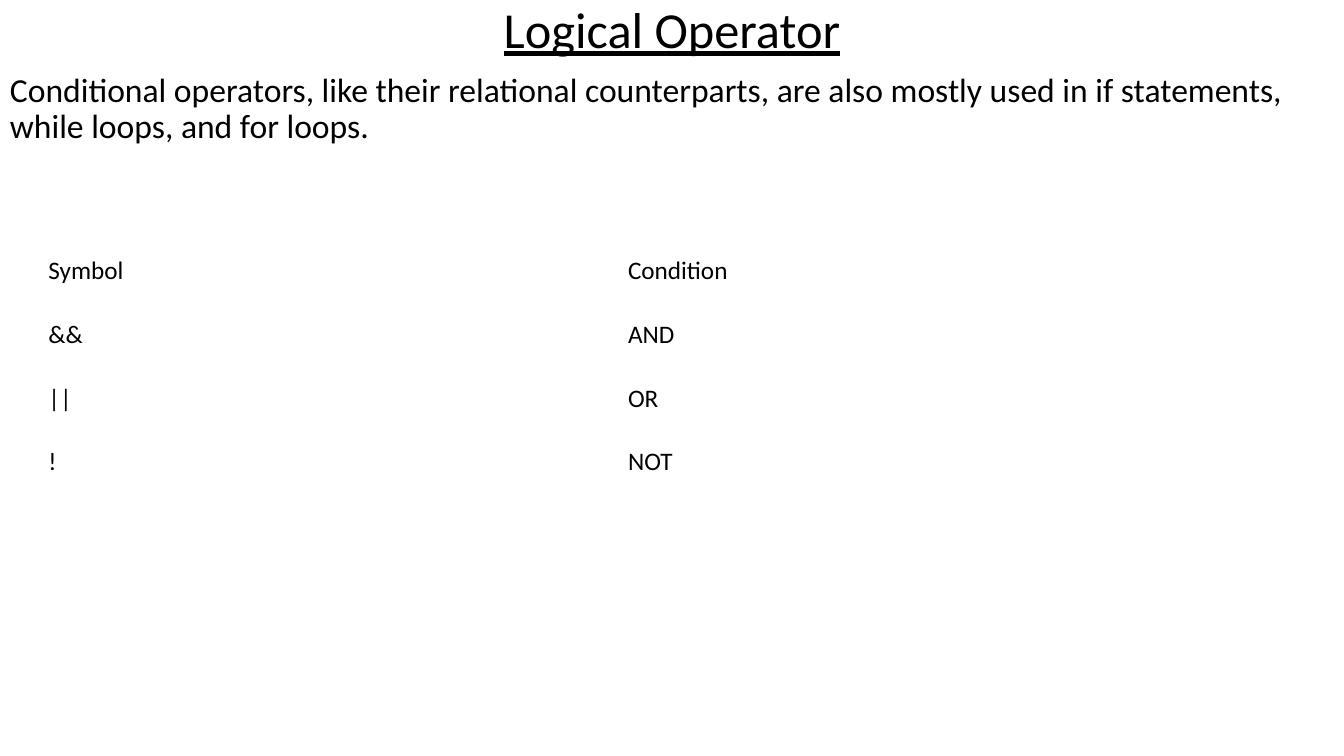
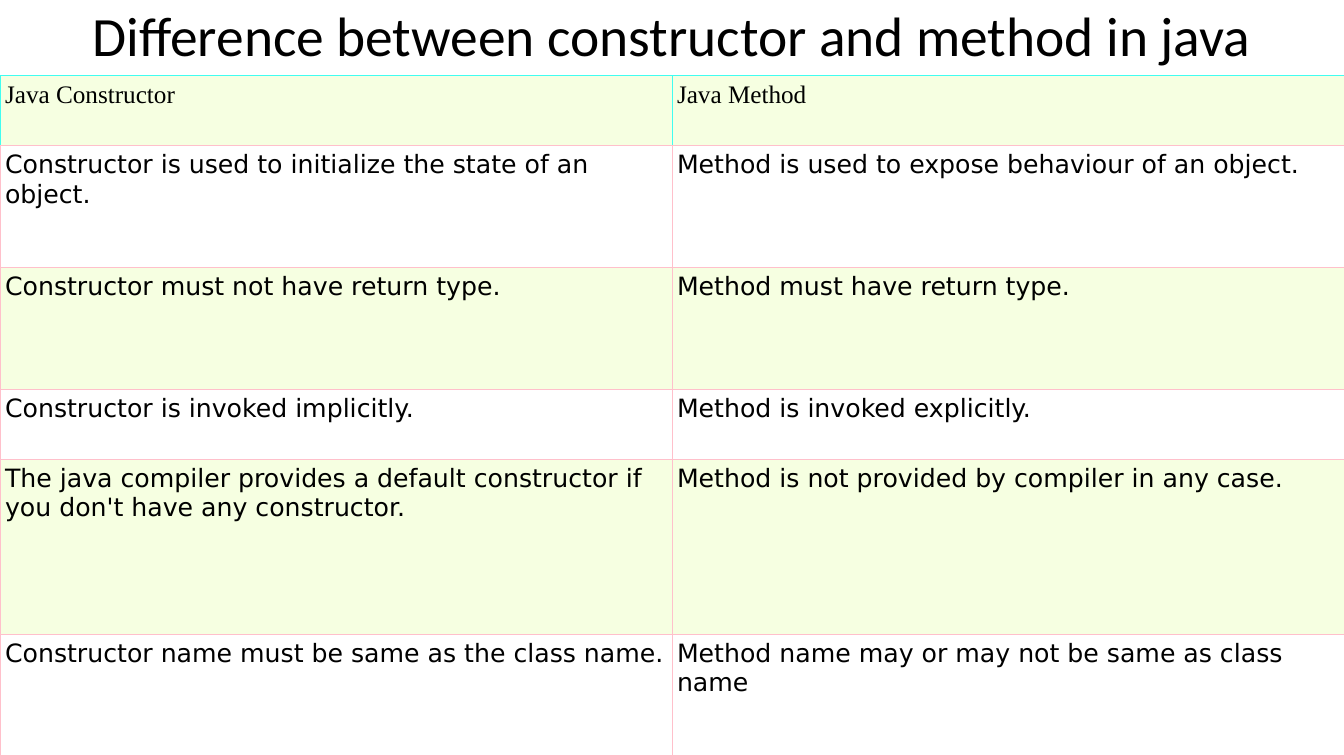
from dataclasses import dataclass
from typing import Any

from lxml.etree import SubElement
from pptx import Presentation
from pptx.dml.color import RGBColor
from pptx.enum.text import MSO_ANCHOR as Anchor, PP_ALIGN as Align
from pptx.oxml.ns import qn
from pptx.util import Pt

SLIDE_WIDTH, SLIDE_HEIGHT = 960, 540
BLACK = RGBColor(0x00, 0x00, 0x00)
WHITE = RGBColor(0xFF, 0xFF, 0xFF)
PALE_GREEN = RGBColor(0xF6, 0xFF, 0xE1)
PINK = RGBColor(0xFF, 0xC0, 0xCB)
CYAN = RGBColor(0x40, 0xFD, 0xF1)
BODY_FONT, HEADER_FONT, TABLE_FONT = "Calibri", "Times New Roman", "DejaVu Sans"
BORDER_WIDTH = 0.75


@dataclass
class TextLine:
    text: str
    size: float
    align: Align = Align.LEFT
    underline: bool = False
    space_before: float = 0


@dataclass
class Grid:
    left: float
    top: float
    column_width: float
    row_heights: list[float]
    rows: list[tuple[str, str]]


OPERATORS = Grid(27.4, 170.6, 414, [45.6] * 4, [
    ("Symbol", "Condition"),
    ("&&", "AND"),
    ("||", "OR"),
    ("!", "NOT"),
])

DIFFERENCES = Grid(0, 54, SLIDE_WIDTH / 2, [50, 87, 87, 50, 125, 87], [
    ("Java Constructor", "Java Method"),
    ("Constructor is used to initialize the state of an object.",
     "Method is used to expose behaviour of an object."),
    ("Constructor must not have return type.", "Method must have return type."),
    ("Constructor is invoked implicitly.", "Method is invoked explicitly."),
    ("The java compiler provides a default constructor if you don't have any constructor.",
     "Method is not provided by compiler in any case."),
    ("Constructor name must be same as the class name.",
     "Method name may or may not be same as class name"),
])


def apply_format(target: Any, values: dict[str, Any]) -> None:
    for name, value in values.items():
        setattr(target, name, value)


def format_run(run: Any, font: str, size: float, underline: bool = False) -> None:
    apply_format(run.font, {"name": font, "size": Pt(size), "underline": underline})
    run.font.color.rgb = BLACK


def add_text(slide: Any, top: float, height: float, lines: list[TextLine]) -> None:
    shape = slide.shapes.add_textbox(Pt(0), Pt(top), Pt(SLIDE_WIDTH), Pt(height))
    frame = shape.text_frame
    frame.word_wrap = True
    for index, line in enumerate(lines):
        paragraph = frame.add_paragraph() if index else frame.paragraphs[0]
        apply_format(paragraph, {"alignment": line.align, "line_spacing": 0.9,
                                 "space_before": Pt(line.space_before)})
        run = paragraph.add_run()
        run.text = line.text
        format_run(run, BODY_FONT, line.size, line.underline)


def add_grid(slide: Any, grid: Grid) -> Any:
    table = slide.shapes.add_table(
        len(grid.rows), 2, Pt(grid.left), Pt(grid.top),
        Pt(2 * grid.column_width), Pt(sum(grid.row_heights))).table
    apply_format(table, {"first_row": False, "horz_banding": False})
    for column in table.columns:
        column.width = Pt(grid.column_width)
    for row, height, texts in zip(table.rows, grid.row_heights, grid.rows):
        row.height = Pt(height)
        for cell, text in zip(row.cells, texts):
            cell.text = text
            cell.fill.background()
    return table


def set_borders(cell: Any, colors: dict[str, RGBColor]) -> None:
    properties = cell._tc.get_or_add_tcPr()
    for index, (side, color) in enumerate(colors.items()):
        line = SubElement(properties, qn(f"a:ln{side}"), w=str(Pt(BORDER_WIDTH)))
        fill = SubElement(line, qn("a:solidFill"))
        SubElement(fill, qn("a:srgbClr"), val=str(color))
        properties.insert(index, line)  # borders come before the fill


def build_operator_slide(slide: Any) -> None:
    add_text(slide, 0, SLIDE_HEIGHT, [
        TextLine("Logical Operator", 36, Align.CENTER, True, 10),
        TextLine("Conditional operators, like their relational counterparts, are also "
                 "mostly used in if statements, while loops, and for loops.",
                 24, space_before=10),
    ])
    for cell in add_grid(slide, OPERATORS).iter_cells():
        cell.vertical_anchor = Anchor.MIDDLE
        format_run(cell.text_frame.paragraphs[0].runs[0], BODY_FONT, 18)


def build_difference_slide(slide: Any) -> None:
    add_text(slide, 2.5, 50, [
        TextLine("Difference between constructor and method in java", 39.6, Align.CENTER)])
    margins = dict.fromkeys(
        ("margin_left", "margin_top", "margin_right", "margin_bottom"), Pt(3.6))
    for index, row in enumerate(add_grid(slide, DIFFERENCES).rows):
        is_header = index == 0
        edge = CYAN if is_header else PINK
        for cell in row.cells:
            apply_format(cell, margins)
            cell.fill.solid()
            cell.fill.fore_color.rgb = WHITE if index % 2 else PALE_GREEN
            set_borders(cell, {"L": edge, "R": edge, "T": edge, "B": PINK})
            format_run(cell.text_frame.paragraphs[0].runs[0],
                       HEADER_FONT if is_header else TABLE_FONT, 18)


def main() -> None:
    presentation = Presentation()
    apply_format(presentation, {"slide_width": Pt(SLIDE_WIDTH),
                                "slide_height": Pt(SLIDE_HEIGHT)})
    blank_layout = presentation.slide_layouts[6]
    for build in (build_operator_slide, build_difference_slide):
        build(presentation.slides.add_slide(blank_layout))
    presentation.save("out.pptx")


if __name__ == "__main__":
    main()
